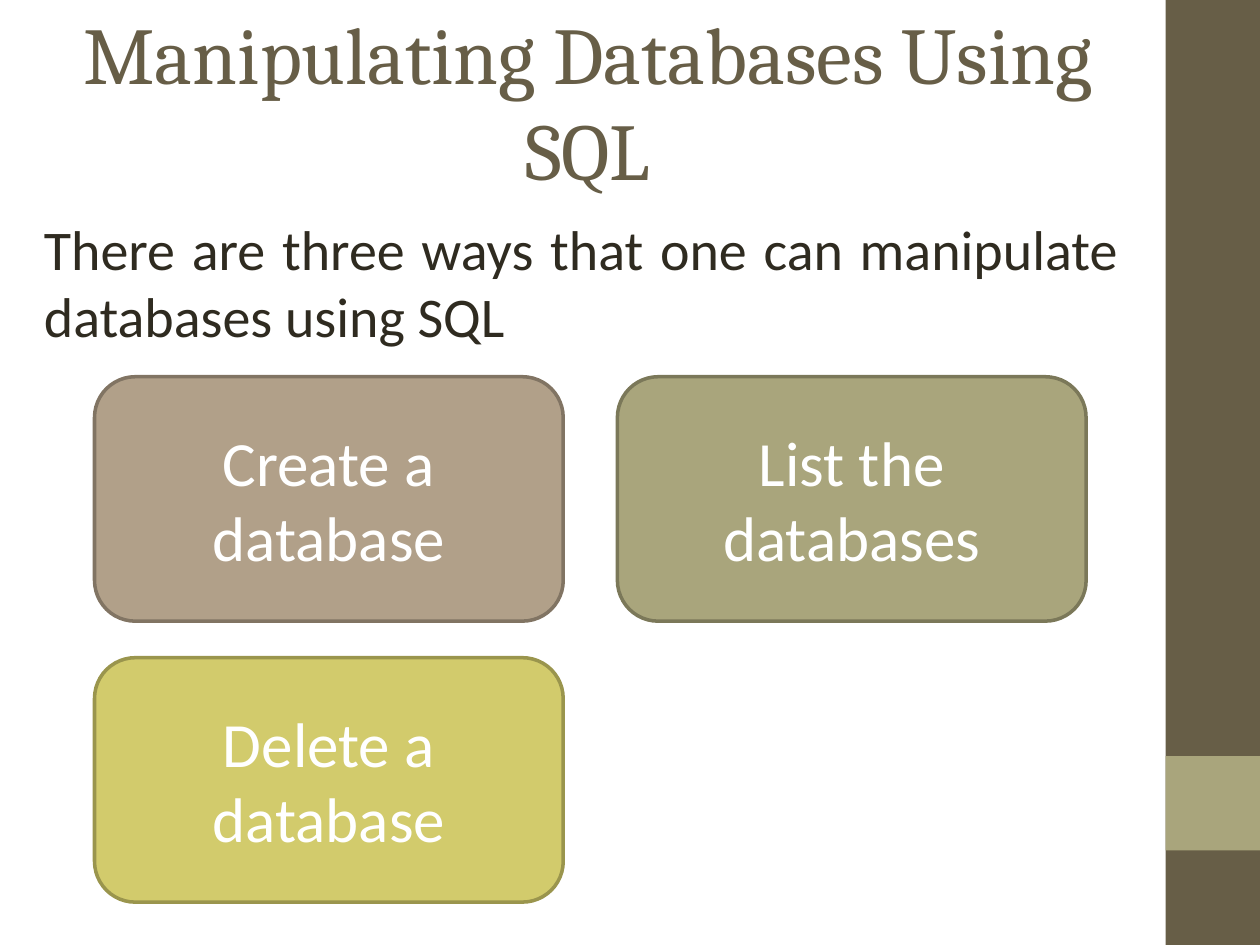
from dataclasses import dataclass

from pptx import Presentation
from pptx import util as u
from pptx.dml.color import RGBColor
from pptx.enum import shapes, text

TITLE = "Manipulating Databases Using SQL"
INTRO = "There are three ways that one can manipulate databases using SQL"
CARDS = [  # label, fill, line
    ("Create a database", "B1A089", "817463"),
    ("List the databases", "A9A57C", "7B7859"),
    ("Delete a database", "D2CB6C", "9A954D"),
]


@dataclass(frozen=True)
class Theme:
    head: str = "Cambria"
    body: str = "Calibri"
    dark: str = "675E47"
    accent: str = "A9A57C"
    ink: str = "2F2B20"
    light: str = "FFFFFF"
    big: int = 46
    mid: int = 36
    small: int = 32


T = Theme()
WIDE, HIGH = 10, 7.5
BAND = 0.75  # side band width, also the height of its accent
COLS = 2
LEFT, TOP = 0.75, 2.99
CARD_W, CARD_H = 3.72, 1.94
STEP_X, STEP_Y = 4.15, 2.23


def inches(*vals):
    return [u.Inches(v) for v in vals]


def write(shape, words, face, size, color, align, anchor):
    frame = shape.text_frame
    frame.word_wrap = True
    frame.auto_size = text.MSO_AUTO_SIZE.NONE
    frame.vertical_anchor = anchor
    para = frame.paragraphs[0]
    para.text = words
    para.alignment = align
    font = para.font
    font.name, font.size = face, u.Pt(size)
    font.color.rgb = RGBColor.from_string(color)


def block(slide, kind, box, fill, line=None):
    shape = slide.shapes.add_shape(kind, *inches(*box))
    shape.shadow.inherit = False
    shape.fill.solid()
    shape.fill.fore_color.rgb = RGBColor.from_string(fill)
    if line:
        shape.line.color.rgb = RGBColor.from_string(line)
        shape.line.width = u.Pt(2)
    else:
        shape.line.fill.background()
    return shape


def main():
    deck = Presentation()
    deck.slide_width, deck.slide_height = inches(WIDE, HIGH)
    slide = deck.slides.add_slide(deck.slide_layouts[5])
    kinds = shapes.MSO_SHAPE
    center, middle = text.PP_ALIGN.CENTER, text.MSO_ANCHOR.MIDDLE

    edge = WIDE - BAND
    block(slide, kinds.RECTANGLE, (edge, 0, BAND, HIGH), T.dark)
    block(slide, kinds.RECTANGLE, (edge, HIGH - 2 * BAND, BAND, BAND), T.accent)

    title = slide.shapes.title
    title.left, title.top, title.width, title.height = inches(0.5, 0.17, 8.33, 1.25)
    write(title, TITLE, T.head, T.big, T.dark, center, middle)

    intro = slide.shapes.add_textbox(*inches(0.25, 1.65, 8.73, 1.18))
    write(intro, INTRO, T.body, T.small, T.ink,
          text.PP_ALIGN.JUSTIFY, text.MSO_ANCHOR.TOP)

    for i, (label, fill, line) in enumerate(CARDS):
        row, col = divmod(i, COLS)
        box = (LEFT + col * STEP_X, TOP + row * STEP_Y, CARD_W, CARD_H)
        card = block(slide, kinds.ROUNDED_RECTANGLE, box, fill, line)
        write(card, label, T.body, T.mid, T.light, center, middle)

    deck.save("out.pptx")


if __name__ == "__main__":
    main()
